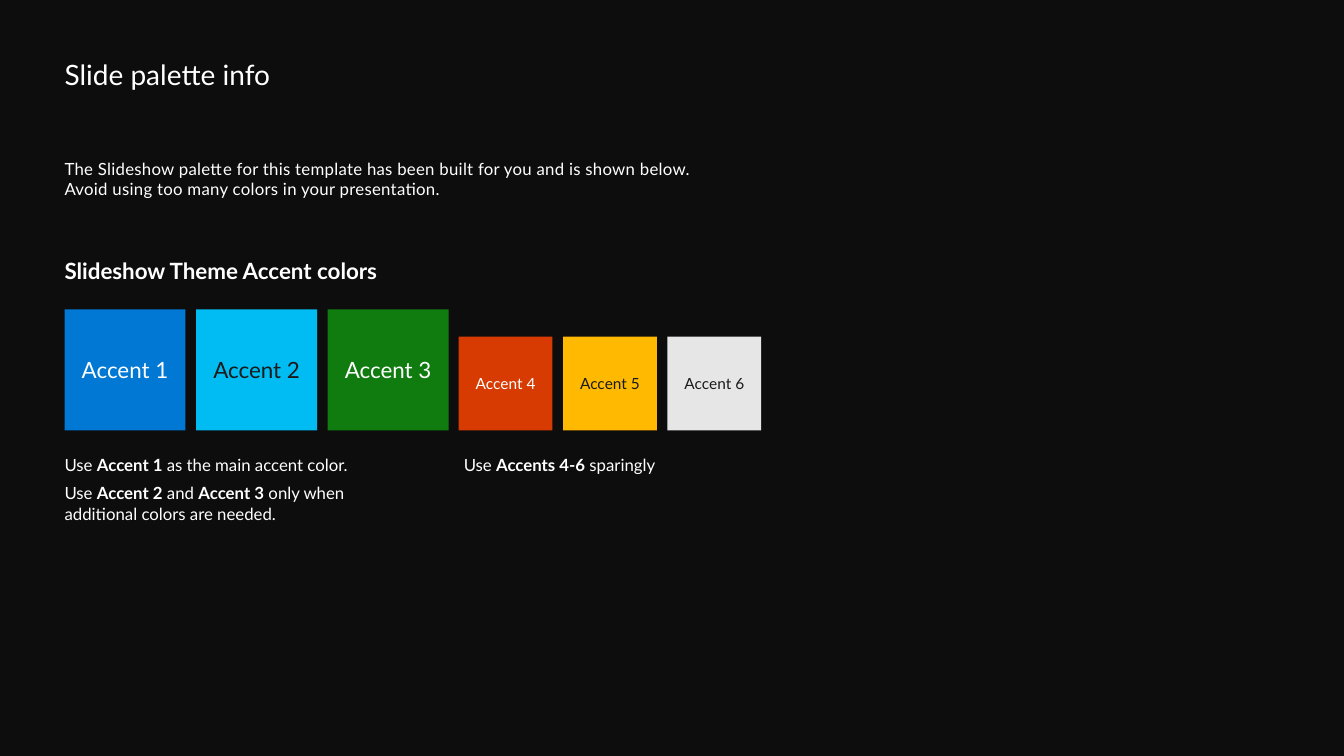
from pptx import Presentation
from pptx.dml.color import RGBColor
from pptx.enum.shapes import MSO_SHAPE
from pptx.enum.text import MSO_ANCHOR, PP_ALIGN
from pptx.util import Inches, Pt

RECT = MSO_SHAPE.RECTANGLE
TOP, MIDDLE = MSO_ANCHOR.TOP, MSO_ANCHOR.MIDDLE
LEFT, CENTER = PP_ALIGN.LEFT, PP_ALIGN.CENTER
FONT, WHITE, DARK, BACK = "Lato", "FFFFFF", "1A1A1A", "0D0D0D"
MARGIN = 0.64

BIG = [("Accent 1", "0078D4", WHITE), ("Accent 2", "00BCF2", DARK),
       ("Accent 3", "107C10", WHITE)]
SMALL = [("Accent 4", "D73B01", WHITE), ("Accent 5", "FFB900", DARK),
         ("Accent 6", "E6E6E6", DARK)]


def paint(target, color):
    target.solid()
    target.fore_color.rgb = RGBColor.from_string(color)


def style(run, size, color=WHITE, bold=False):
    run.font.name = FONT
    run.font.size = Pt(size)
    run.font.bold = bold
    paint(run.font.fill, color)


def set_frame(frame, anchor=TOP, top=0, bottom=0):
    frame.word_wrap = True
    frame.vertical_anchor = anchor
    frame.margin_left = frame.margin_right = 0
    frame.margin_top, frame.margin_bottom = Inches(top), Inches(bottom)


def add_title(slide, text, box):
    title = slide.shapes.title
    title.left, title.top, title.width, title.height = map(Inches, box)
    frame = title.text_frame
    set_frame(frame, top=0.07)
    frame.text = text
    frame.paragraphs[0].alignment = LEFT
    style(frame.paragraphs[0].runs[0], 20)


def add_text(slide, lines, box, size=12, gap=0, track=0):
    """Add one paragraph per line; ** toggles bold and a newline breaks the line."""
    frame = slide.shapes.add_textbox(*map(Inches, box)).text_frame
    set_frame(frame)
    for i, line in enumerate(lines):
        para = frame.add_paragraph() if i else frame.paragraphs[0]
        para.space_before = Pt(gap if i else 0)
        for j, part in enumerate(line.split("**")):
            for k, piece in enumerate(part.split("\n")):
                if k:
                    para.add_line_break()
                if piece:
                    run = para.add_run()
                    run.text = piece
                    style(run, size, bold=j % 2 == 1)
                    if track:
                        run.font._element.set("spc", str(track))


def add_row(slide, items, box, size):
    """Spread square swatches evenly across the box."""
    left, top, width, side = box
    step = (width - side) / (len(items) - 1)
    for i, (name, fill, color) in enumerate(items):
        tile = slide.shapes.add_shape(
            RECT, *map(Inches, (left + i * step, top, side, side)))
        tile.shadow.inherit = False
        paint(tile.fill, fill)
        tile.line.fill.background()
        frame = tile.text_frame
        set_frame(frame, MIDDLE, 0.05, 0.05)
        frame.text = name
        frame.paragraphs[0].alignment = CENTER
        style(frame.paragraphs[0].runs[0], size, color)


def main():
    deck = Presentation()
    deck.slide_width, deck.slide_height = Inches(13.33), Inches(7.5)
    slide = deck.slides.add_slide(deck.slide_layouts.get_by_name("Title Only"))
    paint(slide.background.fill, BACK)

    add_title(slide, "Slide palette info", (MARGIN, 0.5, 6.02, 0.41))
    add_text(slide, [
        "The Slideshow palette for this template has been built for you and is shown below.",
        "Avoid using too many colors in your presentation.",
    ], (MARGIN, 1.57, 10.89, 0.4), track=20)
    add_text(slide, ["**Slideshow Theme Accent colors**"],
             (MARGIN, 2.55, 6.88, 0.27), size=16)

    add_row(slide, BIG, (MARGIN, 3.07, 3.81, 1.2), 16)
    add_row(slide, SMALL, (4.55, 3.34, 3, 0.93), 11)

    add_text(slide, [
        "Use **Accent 1 **as the main accent color.",
        "Use **Accent 2** and **Accent 3** only when \nadditional colors are needed.",
    ], (MARGIN, 4.51, 3.81, 0.69), gap=6)
    add_text(slide, ["Use **Accents 4-6 **sparingly"], (4.6, 4.51, 3.04, 0.2))
    deck.save("out.pptx")


if __name__ == "__main__":
    main()
